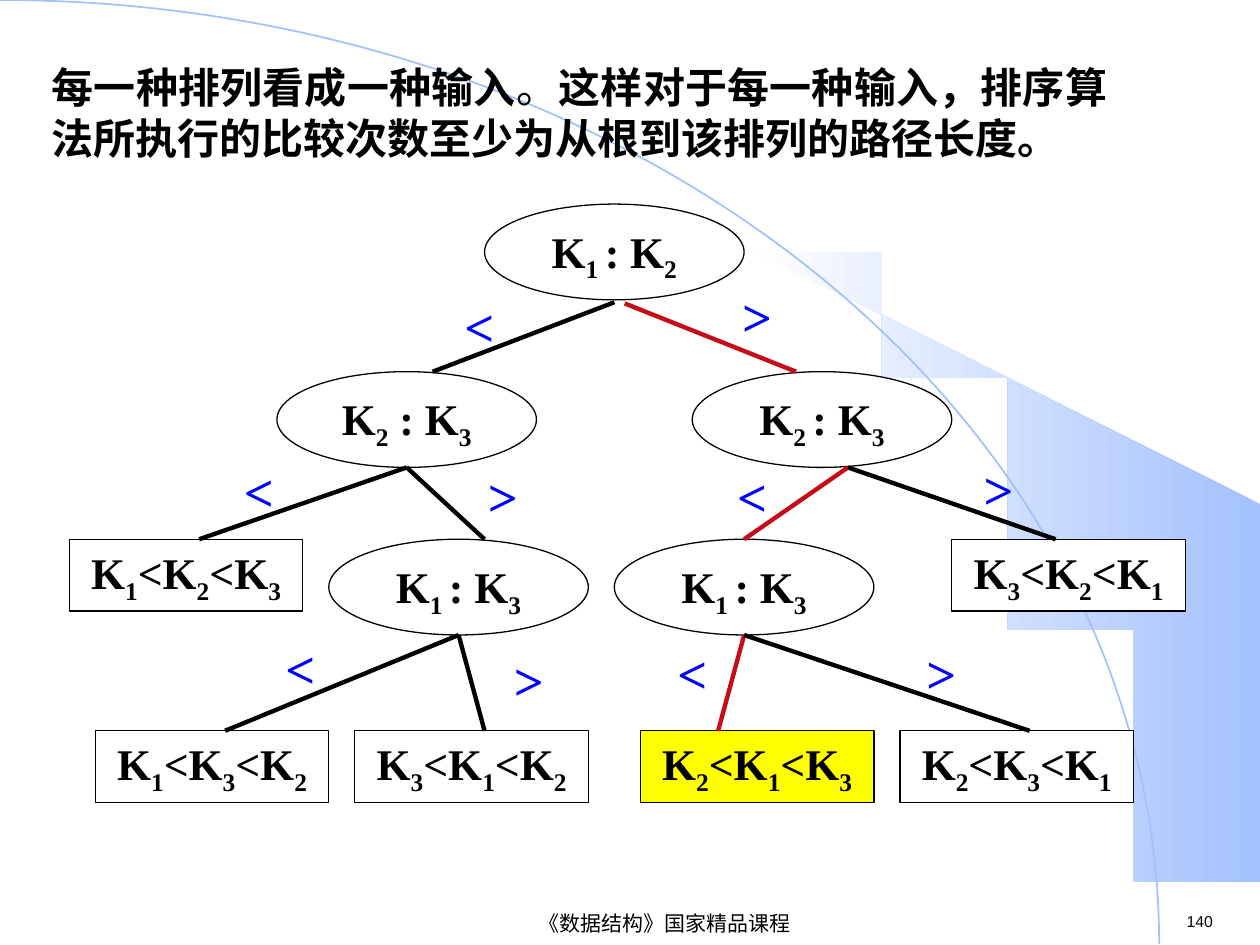
import math
import pptx
import pptx.util
import pptx.dml.color
import pptx.enum.shapes
import pptx.enum.text
import pptx.oxml

Inches, Pt = pptx.util.Inches, pptx.util.Pt
SHAPE = pptx.enum.shapes.MSO_SHAPE
ALIGN = pptx.enum.text.PP_ALIGN
ANCHOR = pptx.enum.text.MSO_ANCHOR

COLORS = {"ink": "000000", "paper": "FFFFFF", "path": "C60C19", "sign": "0000FF",
          "found": "FFFF00", "sky": "A2C1FE", "haze": "FEFEFE"}
SERIF, SANS = "Times New Roman", "Arial"

# Title runs: text, bold
TITLE = [("每一种排列看成一种输入", True), ("。", False),
         ("这样对于每一种输入，排序算法所执行的比较次数至少为从根到该排列的路径长度。", True)]
FOOTER, NUMBER = "《数据结构》国家精品课程", "140"

# Tree nodes: column, row, text (every second part between bars is a subscript)
COMPARISONS = [
    (16, 0, "K|1 |: K|2"),
    (8, 7, "K|2| : K|3"), (24, 7, "K|2 |: K|3"),
    (10, 14, "K|1 |: K|3"), (21, 14, "K|1 |: K|3"),
]
RESULTS = [
    (0, 14, "K|1|<K|2|<K|3", "paper"), (34, 14, "K|3|<K|2|<K|1", "paper"),
    (1, 22, "K|1|<K|3|<K|2", "paper"), (11, 22, "K|3|<K|1|<K|2", "paper"),
    (22, 22, "K|2|<K|1|<K|3", "found"), (32, 22, "K|2|<K|3|<K|1", "paper"),
]
# Branches: start, end, colour, sign, sign position
BRANCHES = [
    ((21, 4.1), (14, 7), "ink", "<", (13.8, 3.5)),
    ((21.4, 4.15), (28, 7), "path", ">", (24.5, 3.1)),
    ((13, 11), (5, 14), "ink", "<", (5.3, 10.4)),
    ((13, 11), (16, 14), "ink", ">", (14.7, 10.6)),
    ((30, 11), (26, 14), "path", "<", (24.3, 10.6)),
    ((30, 11), (38, 14), "ink", ">", (33.8, 10.3)),
    ((15, 18), (6, 22), "ink", "<", (6.9, 17.8)),
    ((15, 18), (16, 22), "ink", ">", (15.7, 18.3)),
    ((26, 18), (25, 22), "path", "<", (22, 18)),
    ((26, 18), (37, 22), "ink", ">", (31.6, 18)),
]
LEFT, TOP, COL, ROW = 0.55, 1.62, 0.206, 0.19
ARC_W, ARC_H = 9.2, 7.49


def rgb(name):
    return pptx.dml.color.RGBColor.from_string(COLORS[name])


def at(col, row):
    return Inches(LEFT + col * COL), Inches(TOP + row * ROW)


def style(r, size, font, color="ink", bold=False):
    r.font.size, r.font.name, r.font.bold = Pt(size), font, bold
    r.font.color.rgb = rgb(color)


def add_label(box, text, size, font, color="ink", bold=False, align=ALIGN.CENTER,
              anchor=ANCHOR.TOP):
    tf = slide.shapes.add_textbox(*box).text_frame
    tf.word_wrap, tf.vertical_anchor = True, anchor
    p = tf.paragraphs[0]
    p.text, p.alignment = text, align
    style(p.runs[0], size, font, color, bold)


def add_node(kind, col, row, cols, rows, text, fill):
    sp = slide.shapes.add_shape(kind, *at(col, row), Inches(cols * COL), Inches(rows * ROW))
    sp.shadow.inherit = False
    sp.fill.solid()
    sp.fill.fore_color.rgb = rgb(fill)
    sp.line.color.rgb, sp.line.width = rgb("ink"), Pt(0.75)
    tf = sp.text_frame
    tf.word_wrap, tf.vertical_anchor = True, ANCHOR.TOP
    tf.margin_left = tf.margin_right = Inches(0.02)
    tf.margin_top, tf.margin_bottom = Inches(0.05), Inches(0.01)
    p = tf.paragraphs[0]
    p.alignment = ALIGN.CENTER
    for i, part in enumerate(text.split("|")):
        r = p.add_run()
        r.text = part
        style(r, 25, SERIF, bold=True)
        if i % 2:
            r.font._element.set("baseline", "-25000")


prs = pptx.Presentation()
prs.slide_width, prs.slide_height = Inches(10), Inches(7.5)
slide = prs.slides.add_slide(prs.slide_layouts[5])

# Background wedge, whose inner edge follows the arc
start = math.asin(5.89 / ARC_W)
angles = [start + (math.pi / 2 - start) * i / 24 for i in range(25)]
edge = [(ARC_W * math.sin(a), ARC_H * (1 - math.cos(a))) for a in angles]
builder = slide.shapes.build_freeform(*edge[0], scale=Inches(1))
builder.add_line_segments(edge[1:] + [(9.99, ARC_H), (9.99, 4.23)], close=True)
wedge = builder.convert_to_shape()
wedge.shadow.inherit = False
wedge.line.fill.background()
wedge.fill.gradient()
wedge.fill.gradient_angle = 180
for stop, name in zip(wedge.fill.gradient_stops, ("sky", "haze")):
    stop.color.rgb = rgb(name)

# Background arc
arc = slide.shapes.add_shape(SHAPE.ARC, Inches(-ARC_W), 0, Inches(2 * ARC_W), Inches(2 * ARC_H))
arc.shadow.inherit = False
arc.fill.background()
arc.line.color.rgb, arc.line.width = rgb("sky"), Pt(1)

# Title, brought in front of the background
title = slide.shapes.title
slide.shapes._spTree.append(title._element)
title.left, title.top, title.width, title.height = map(Inches, (0.31, 0.44, 8.58, 1.06))
tf = title.text_frame
tf.word_wrap, tf.vertical_anchor = True, ANCHOR.TOP
tf.auto_size = pptx.enum.text.MSO_AUTO_SIZE.NONE
p = tf.paragraphs[0]
p.alignment = ALIGN.JUSTIFY
for text, bold in TITLE:
    r = p.add_run()
    r.text = text
    style(r, 24, SERIF, bold=bold)

# Footer and slide number
add_label(map(Inches, (2.4, 7.21, 5.75, 0.24)), FOOTER, 12, SANS, anchor=ANCHOR.MIDDLE)
add_label(map(Inches, (9.32, 7.19, 0.68, 0.25)), NUMBER, 9, SANS, align=ALIGN.LEFT)

# Decision tree
for col, row, text in COMPARISONS:
    add_node(SHAPE.OVAL, col, row, 10, 4, text, "paper")
for col, row, text, fill in RESULTS:
    add_node(SHAPE.RECTANGLE, col, row, 9, 3, text, fill)
for begin, end, color, sign, spot in BRANCHES:
    line = slide.shapes.add_connector(pptx.enum.shapes.MSO_CONNECTOR.STRAIGHT,
                                      *at(*begin), *at(*end))
    line.line.color.rgb, line.line.width = rgb(color), Pt(2.5)
    line._element.spPr.append(pptx.oxml.parse_xml(
        '<a:effectLst xmlns:a="http://schemas.openxmlformats.org/drawingml/2006/main"/>'))
    add_label((*at(*spot), Inches(4 * COL), Inches(0.6)), sign, 30, SERIF, "sign", True)

prs.save("out.pptx")
